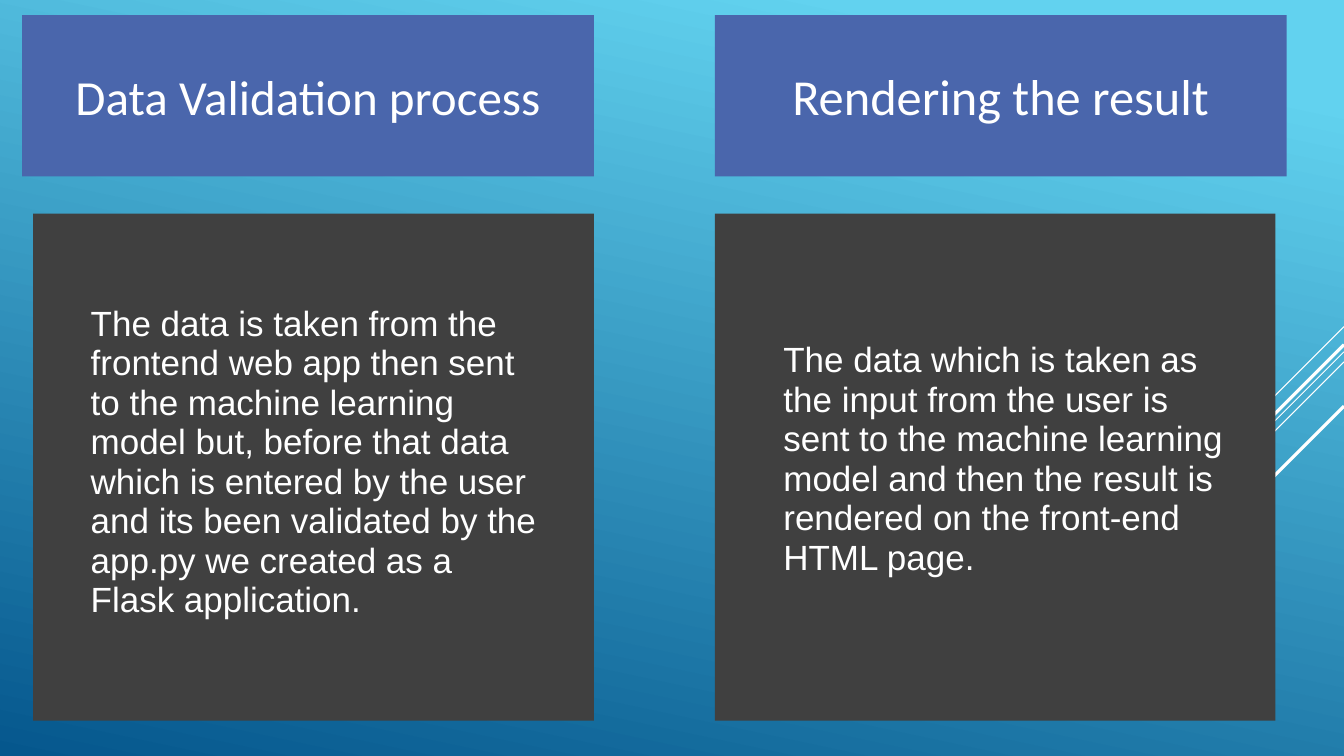
from pptx import Presentation
from pptx.dml.color import RGBColor
from pptx.enum import shapes, text
from pptx.oxml.ns import qn
from pptx.util import Inches, Pt

SKY = RGBColor(0x62, 0xD2, 0xEF)
DEEP_BLUE = RGBColor(0x05, 0x57, 0x8D)
HEADING_BLUE = RGBColor(0x4A, 0x66, 0xAC)
CHARCOAL = RGBColor(0x40, 0x40, 0x40)
WHITE = RGBColor(0xFF, 0xFF, 0xFF)

SLIDE_WIDTH, SLIDE_HEIGHT = 13.33, 7.5

# Diagonal rays: start height on the right edge, run to the left, weight
RAYS = [(3.24, 1.0, 0.75), (3.49, 3.26, 0.75), (3.59, 2.07, 0.75),
        (3.42, 1.91, 2.25), (4.03, 1.39, 2.25)]

# Offsets are within the column; bottom_inset lifts the centred description
COLUMNS = [
    dict(left=0.22, heading_id=1, description_id=2,
         heading="Data Validation process", heading_size=35,
         panel_offset=0.11, description_offset=0.58, bottom_inset=0.35,
         description="The data is taken from the frontend web app then sent to "
                     "the machine learning model but, before that data which is "
                     "entered by the user and its been validated by the app.py "
                     "we created as a Flask application."),
    dict(left=7.09, heading_id=3, description_id=4,
         heading="Rendering the result", heading_size=36,
         panel_offset=0, description_offset=0.58, bottom_inset=0.41,
         description="The data which is taken as the input from the user is sent "
                     "to the machine learning model and then the result is "
                     "rendered on the front-end HTML page."),
]


def paint_background(slide):
    fill = slide.background.fill
    fill.gradient()
    fill.gradient_angle = 258
    for stop, position, colour in zip(fill.gradient_stops, (0.1, 1), (SKY, DEEP_BLUE)):
        stop.position = position
        stop.color.rgb = colour


def draw_rays(slide, right):
    for top, run, weight in RAYS:
        ray = slide.shapes.add_connector(
            shapes.MSO_CONNECTOR.STRAIGHT, Inches(right), Inches(top),
            Inches(right - run), Inches(top + run))
        ray.line.color.rgb = WHITE
        ray.line.width = Pt(weight)
        properties = ray._element.spPr
        properties.append(properties.makeelement(qn("a:effectLst"), {}))


def fill_placeholder(slide, placeholder_id, box, words, font_name, size):
    """Place a template placeholder in the box, above what is already drawn."""
    holder = next(p for p in slide.placeholders
                  if p.placeholder_format.idx == placeholder_id)
    slide.shapes._spTree.append(holder._element)
    holder.left, holder.top, holder.width, holder.height = map(Inches, box)
    frame = holder.text_frame
    frame.text = words
    frame.word_wrap = True
    frame.auto_size = text.MSO_AUTO_SIZE.NONE
    frame.vertical_anchor = text.MSO_ANCHOR.MIDDLE
    paragraph = frame.paragraphs[0]
    properties = paragraph._p.get_or_add_pPr()
    properties.set("marL", "0")
    properties.set("indent", "0")
    properties.append(properties.makeelement(qn("a:buNone"), {}))
    paragraph.space_before = Pt(0)
    paragraph.font.name = font_name
    paragraph.font.size = Pt(size)
    paragraph.font.bold = False
    paragraph.font.color.rgb = WHITE
    return holder, paragraph


def build_column(slide, left, top, column):
    # Dark panel
    panel = slide.shapes.add_shape(
        shapes.MSO_SHAPE.RECTANGLE, Inches(left + column["panel_offset"]),
        Inches(top + 1.97), Inches(5.56), Inches(5.03))
    panel.shadow.inherit = False
    panel.fill.solid()
    panel.fill.fore_color.rgb = CHARCOAL
    panel.line.fill.background()

    # Heading band
    heading, heading_line = fill_placeholder(
        slide, column["heading_id"], (left, top, 5.67, 1.6),
        column["heading"], "Calibri", column["heading_size"])
    heading.fill.solid()
    heading.fill.fore_color.rgb = HEADING_BLUE
    heading_line.alignment = text.PP_ALIGN.CENTER

    # Description over the panel
    description, description_line = fill_placeholder(
        slide, column["description_id"],
        (left + column["description_offset"], top + 2.47, 4.69, 4.24),
        column["description"], "Arial", 25)
    description.text_frame.margin_bottom = Inches(column["bottom_inset"])
    description_line.line_spacing = 0.94


def main():
    deck = Presentation()
    deck.slide_width = Inches(SLIDE_WIDTH)
    deck.slide_height = Inches(SLIDE_HEIGHT)
    slide = deck.slides.add_slide(deck.slide_layouts.get_by_name("Comparison"))

    # The two headings stand in for a slide title
    title = slide.shapes.title._element
    title.getparent().remove(title)

    paint_background(slide)
    draw_rays(slide, SLIDE_WIDTH)
    for column in COLUMNS:
        build_column(slide, column["left"], 0.15, column)
    deck.save("out.pptx")


if __name__ == "__main__":
    main()
